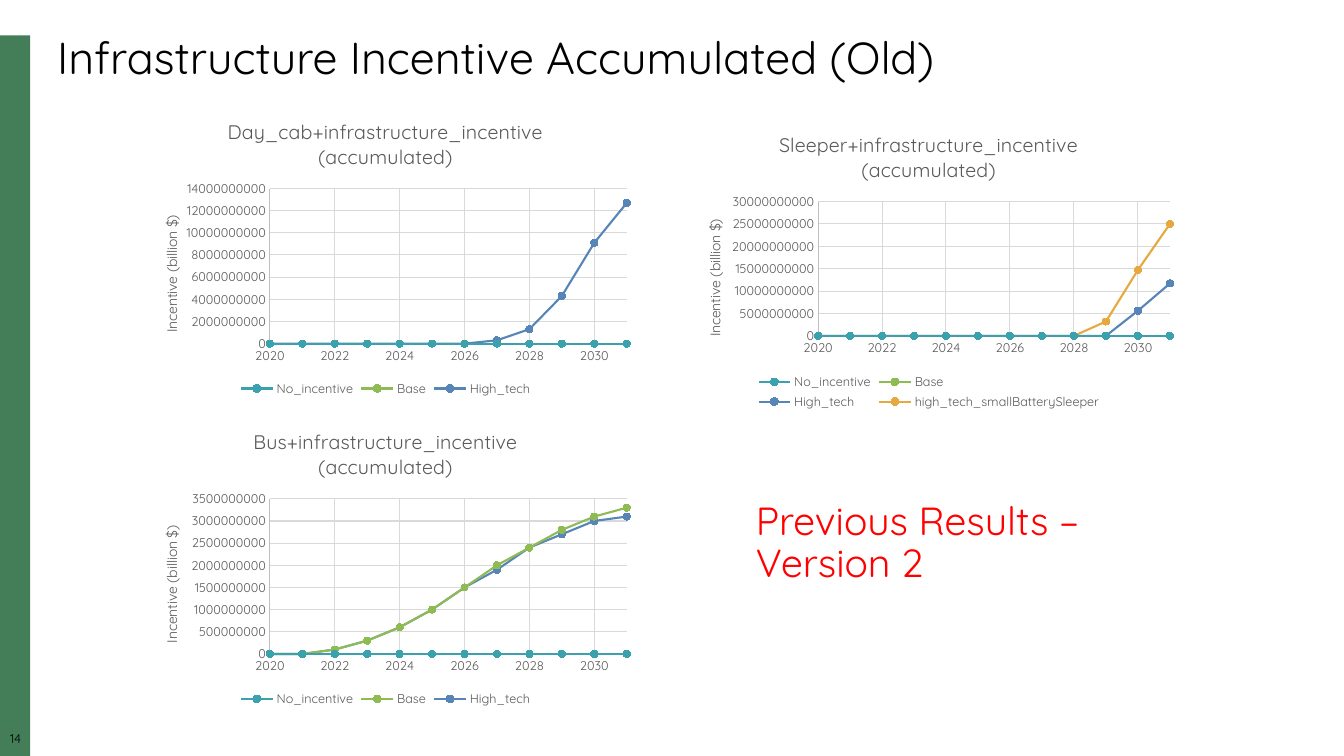
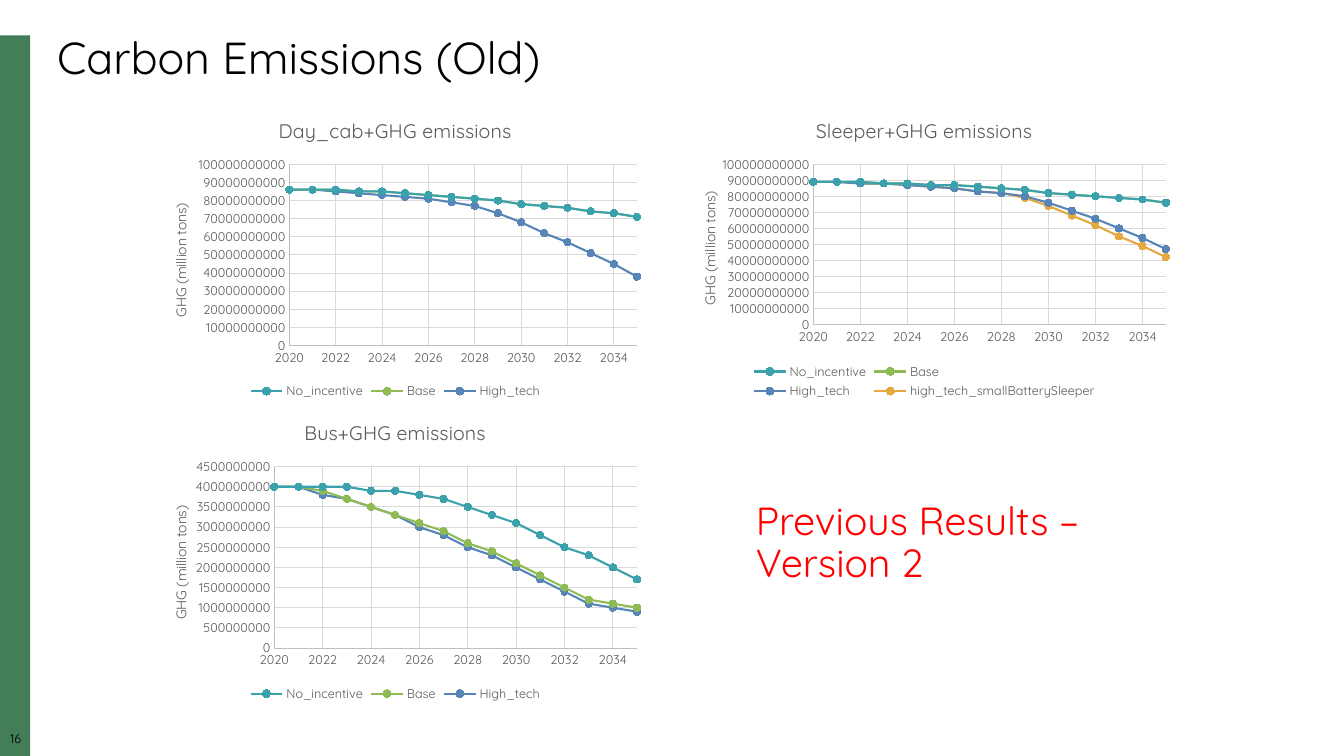
from lxml.etree import SubElement
from pptx import Presentation
from pptx.chart.data import XyChartData
from pptx.dml.color import RGBColor
from pptx.enum.chart import (XL_CHART_TYPE as ChartType, XL_LEGEND_POSITION as LegendPosition,
                             XL_MARKER_STYLE as MarkerStyle, XL_TICK_MARK as TickMark)
from pptx.enum.shapes import MSO_SHAPE as ShapeKind
from pptx.enum.text import MSO_ANCHOR as Anchor, PP_ALIGN as Align
from pptx.oxml import parse_xml
from pptx.oxml.ns import nsdecls, qn
from pptx.util import Cm, Pt

# Shared look
FONT = "Quicksand"
COLORS = {
    "band": "447E59", "text": "000000", "notice": "FF0000",
    "label": "595959", "axis": "BFBFBF", "grid": "D9D9D9",
    "No_incentive": "3BA2AD", "Base": "8FBB55", "High_tech": "5785B7",
    "high_tech_smallBatterySleeper": "E5A940",
}
SLIDE_W, SLIDE_H = 33.87, 19.05
BAND_TOP, BAND_W = 0.89, 0.76
FIRST_YEAR = 2020
BILLION = 10 ** 9
NO_SPENDING = [0] * 12
DAY_CAB_GHG = [86, 86, 86, 85, 85, 84, 83, 82, 81, 80, 78, 77, 76, 74, 73, 71]
SLEEPER_GHG = [89, 89, 89, 88, 88, 87, 87, 86, 85, 84, 82, 81, 80, 79, 78, 76]

# Content: chart positions and sizes in cm, plot edges as shares of the chart,
# series values in billions, one per year
SLIDES = [
    {
        "title": "Infrastructure Incentive Accumulated (Old)",
        "number": "14",
        "axis": "Incentive (billion $)",
        "size": (12.67, 7.52),
        "plot_top": 0.29,
        "charts": [
            {"title": "Day_cab+infrastructure_incentive (accumulated)",
             "at": (3.38, 2.57), "plot_left": 0.27,
             "series": {
                 "No_incentive": NO_SPENDING,
                 "Base": NO_SPENDING,
                 "High_tech": [0, 0, 0, 0, 0, 0, 0, 0.3, 1.3, 4.3, 9.1, 12.7]}},
            {"title": "Sleeper+infrastructure_incentive (accumulated)",
             "at": (17.07, 2.9), "plot_left": 0.28,
             "series": {
                 "No_incentive": NO_SPENDING,
                 "Base": NO_SPENDING,
                 "High_tech": [0, 0, 0, 0, 0, 0, 0, 0, 0, 0, 5.6, 11.7],
                 "high_tech_smallBatterySleeper":
                     [0, 0, 0, 0, 0, 0, 0, 0, 0, 3.2, 14.7, 25]}},
            {"title": "Bus+infrastructure_incentive (accumulated)",
             "at": (3.38, 10.39), "plot_left": 0.27,
             "series": {
                 "No_incentive": NO_SPENDING,
                 "Base": [0, 0, 0.1, 0.3, 0.6, 1, 1.5, 2, 2.4, 2.8, 3.1, 3.3],
                 "High_tech": [0, 0, 0.1, 0.3, 0.6, 1, 1.5, 1.9, 2.4, 2.7, 3, 3.1]}},
        ],
    },
    {
        "title": "Carbon Emissions (Old)",
        "number": "16",
        "axis": "GHG (million tons)",
        "size": (12.7, 7.62),
        "plot_top": 0.21,
        "charts": [
            {"title": "Day_cab+GHG emissions",
             "at": (3.61, 2.54), "plot_left": 0.29,
             "series": {
                 "No_incentive": DAY_CAB_GHG,
                 "Base": DAY_CAB_GHG,
                 "High_tech": [86, 86, 85, 84, 83, 82, 81, 79,
                               77, 73, 68, 62, 57, 51, 45, 38]}},
            {"title": "Sleeper+GHG emissions",
             "at": (16.94, 2.54), "plot_left": 0.28,
             "series": {
                 "No_incentive": SLEEPER_GHG,
                 "Base": SLEEPER_GHG,
                 "High_tech": [89, 89, 88, 88, 87, 86, 85, 83,
                               82, 80, 76, 71, 66, 60, 54, 47],
                 "high_tech_smallBatterySleeper":
                     [89, 89, 88, 88, 87, 86, 85, 83,
                      82, 79, 74, 68, 62, 55, 49, 42]}},
            {"title": "Bus+GHG emissions",
             "at": (3.61, 10.16), "plot_left": 0.26,
             "series": {
                 "No_incentive": [4, 4, 4, 4, 3.9, 3.9, 3.8, 3.7,
                                  3.5, 3.3, 3.1, 2.8, 2.5, 2.3, 2, 1.7],
                 "Base": [4, 4, 3.9, 3.7, 3.5, 3.3, 3.1, 2.9,
                          2.6, 2.4, 2.1, 1.8, 1.5, 1.2, 1.1, 1],
                 "High_tech": [4, 4, 3.8, 3.7, 3.5, 3.3, 3, 2.8,
                               2.5, 2.3, 2, 1.7, 1.4, 1.1, 1, 0.9]}},
        ],
    },
]


def color(key):
    return RGBColor.from_string(COLORS[key])


def style_font(font, size, key):
    font.name = FONT
    font.size = Pt(size)
    font.bold = False
    font.color.rgb = color(key)


def style_line(line, key, width):
    line.color.rgb = color(key)
    line.width = Pt(width)


# Text and band
def add_text(slide, box, text, size, key="text", align=Align.LEFT, inset=True):
    frame = slide.shapes.add_textbox(*map(Cm, box)).text_frame
    frame.word_wrap = True
    frame.vertical_anchor = Anchor.MIDDLE
    if not inset:
        frame.margin_left = frame.margin_right = 0
        frame.margin_top = frame.margin_bottom = 0
    paragraph = frame.paragraphs[0]
    paragraph.alignment = align
    paragraph.line_spacing = 0.9
    run = paragraph.add_run()
    run.text = text
    style_font(run.font, size, key)


def add_band(slide):
    band = slide.shapes.add_shape(ShapeKind.RECTANGLE, 0, Cm(BAND_TOP),
                                  Cm(BAND_W), Cm(SLIDE_H - BAND_TOP))
    band.shadow.inherit = False
    band.fill.solid()
    band.fill.fore_color.rgb = color("band")
    band.line.fill.background()


# Chart parts
def place(element, index, **settings):
    """Give a chart part a manual layout, as shares of the chart."""
    layout = element.find(qn("c:layout"))
    if layout is None:
        layout = parse_xml(f"<c:layout {nsdecls('c')}/>")
        element.insert(index, layout)
    manual = SubElement(layout, qn("c:manualLayout"))
    for tag, value in settings.items():
        SubElement(manual, qn(f"c:{tag}")).set("val", str(value))


def set_title(title, text, size):
    run = title.text_frame.paragraphs[0].add_run()
    run.text = text
    style_font(run.font, size, "label")


def style_axis(axis):
    axis.has_major_gridlines = True
    style_line(axis.major_gridlines.format.line, "grid", 0.75)
    style_line(axis.format.line, "axis", 0.75)
    axis.major_tick_mark = axis.minor_tick_mark = TickMark.NONE
    labels = axis.tick_labels
    labels.number_format = "0"
    labels.number_format_is_linked = False
    style_font(labels.font, 9, "label")


def style_series(series):
    style_line(series.format.line, series.name, 1.5)
    marker = series.marker
    marker.style = MarkerStyle.CIRCLE
    marker.size = 5
    marker.format.fill.solid()
    marker.format.fill.fore_color.rgb = color(series.name)
    style_line(marker.format.line, series.name, 0.75)


def add_trend_chart(slide, content, axis_text, size, plot_top):
    data = XyChartData()
    for name, values in content["series"].items():
        points = data.add_series(name)
        for year, value in enumerate(values, FIRST_YEAR):
            points.add_data_point(year, round(value * BILLION))
    chart = slide.shapes.add_chart(ChartType.XY_SCATTER_LINES, *map(Cm, content["at"]),
                                   *map(Cm, size), data).chart
    style_font(chart.font, 10, "text")
    chart.has_title = True
    set_title(chart.chart_title, content["title"], 14)
    chart.has_legend = True
    chart.legend.position = LegendPosition.BOTTOM
    chart.legend.include_in_layout = False
    style_font(chart.legend.font, 9, "label")

    # Axes
    years, amounts = chart.category_axis, chart.value_axis
    for axis in (years, amounts):
        style_axis(axis)
    years.minimum_scale = FIRST_YEAR
    years.maximum_scale = FIRST_YEAR + len(values) - 1
    years.major_unit = 2
    amounts.minimum_scale = 0
    amounts.has_title = True
    set_title(amounts.axis_title, axis_text, 10)
    amounts.axis_title.element.find(".//" + qn("a:bodyPr")).set("rot", "-5400000")

    # Series
    plot = chart.plots[0]
    plot.vary_by_categories = False
    for series in plot.series:
        style_series(series)

    # A fourth series takes a second legend row
    plot_bottom = 0.74 if len(content["series"]) > 3 else 0.81
    left = content["plot_left"]
    place(chart.element.find(".//" + qn("c:plotArea")), 0,
          layoutTarget="inner", xMode="edge", yMode="edge", x=left, y=plot_top,
          w=round(0.98 - left, 2), h=round(plot_bottom - plot_top, 2))
    place(amounts.axis_title.element, 1, xMode="edge", yMode="edge", x=0.05,
          y=round((plot_top + plot_bottom) / 2 - 0.18, 2))


def main():
    deck = Presentation()
    deck.slide_width, deck.slide_height = Cm(SLIDE_W), Cm(SLIDE_H)
    for content in SLIDES:
        slide = deck.slides.add_slide(deck.slide_layouts[6])
        add_band(slide)
        add_text(slide, (0, 18.42, 0.79, 0.43), content["number"], 9,
                 align=Align.CENTER, inset=False)
        add_text(slide, (1.19, 0.76, 31.75, 1.5), content["title"], 32)
        for chart in content["charts"]:
            add_trend_chart(slide, chart, content["axis"], content["size"],
                            content["plot_top"])
        add_text(slide, (18.8, 12.5, 10.31, 2.41), "Previous Results – Version 2",
                 28, key="notice")
    deck.save("out.pptx")


if __name__ == "__main__":
    main()
